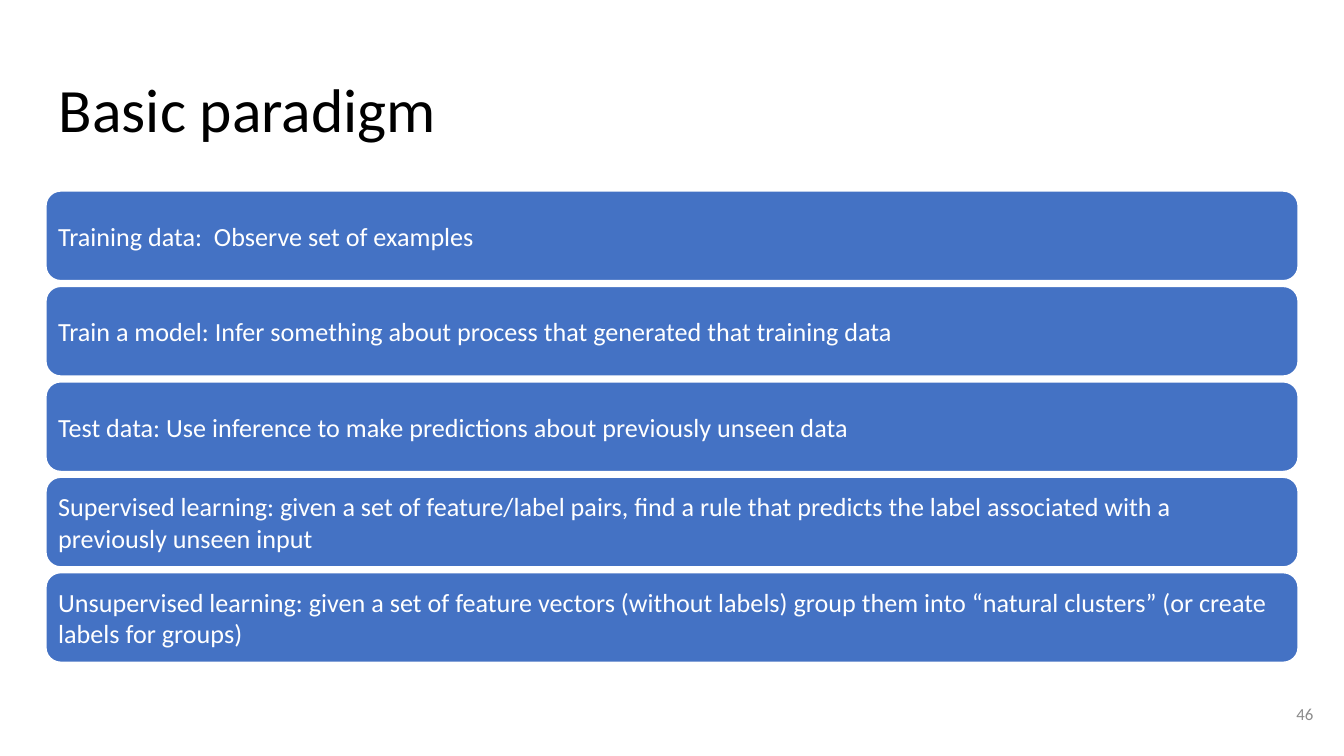
from pptx import Presentation
from pptx.dml.color import RGBColor
from pptx.enum.shapes import MSO_SHAPE
from pptx.enum.text import MSO_ANCHOR, PP_ALIGN
from pptx.util import Pt

ROUNDED = MSO_SHAPE.ROUNDED_RECTANGLE
TOP, MIDDLE = MSO_ANCHOR.TOP, MSO_ANCHOR.MIDDLE
LEFT, RIGHT = PP_ALIGN.LEFT, PP_ALIGN.RIGHT
PX = 4572
FONT = "Calibri"
COLORS = {"title": "000000", "number": "8C8C8C", "bar": "4472C4", "white": "FFFFFF"}

STEPS = [
    "Training data:  Observe set of examples",
    "Train a model: Infer something about process that generated that training data",
    "Test data: Use inference to make predictions about previously unseen data",
    "Supervised learning: given a set of feature/label pairs, find a rule that predicts "
    "the label associated with a previously unseen input",
    "Unsupervised learning: given a set of feature vectors (without labels) group them "
    "into “natural clusters” (or create labels for groups)",
]


class Deck:
    def __init__(self, width, height):
        self.prs = Presentation()
        self.prs.slide_width = width * PX
        self.prs.slide_height = height * PX
        self.s = self.prs.slides.add_slide(self.prs.slide_layouts[6])

    def color(self, name):
        return RGBColor.from_string(COLORS[name])

    def set_text(self, sp, text, size, color, inset, anchor=MIDDLE, align=LEFT, spacing=1.0):
        tf = sp.text_frame
        tf.text = text
        tf.word_wrap = True
        tf.vertical_anchor = anchor
        tf.margin_left = tf.margin_right = inset * PX
        tf.margin_top = tf.margin_bottom = inset * PX
        p = tf.paragraphs[0]
        p.alignment = align
        p.line_spacing = spacing
        r = p.runs[0]
        r.font.name = FONT
        r.font.size = Pt(size)
        r.font.color.rgb = self.color(color)

    def text(self, x, y, w, h, text, size, color, **style):
        sp = self.s.shapes.add_textbox(x * PX, y * PX, w * PX, h * PX)
        self.set_text(sp, text, size, color, 20, **style)

    def bar(self, x, y, w, h, text):
        sp = self.s.shapes.add_shape(ROUNDED, x * PX, y * PX, w * PX, h * PX)
        sp.shadow.inherit = False
        sp.fill.solid()
        sp.fill.fore_color.rgb = self.color("bar")
        sp.line.color.rgb = self.color("white")
        sp.line.width = Pt(1)
        self.set_text(sp, text, 14, "white", 12)


def main():
    deck = Deck(2000, 1125)
    deck.text(68, 98, 1864, 126, "Basic paradigm", 33, "title", anchor=TOP, spacing=0.9)
    deck.text(1854, 1020, 120, 86, "46", 9, "number", align=RIGHT)
    for i, step in enumerate(STEPS):
        deck.bar(68, 284 + i * 142, 1864, 134, step)
    deck.prs.save("out.pptx")


if __name__ == "__main__":
    main()
